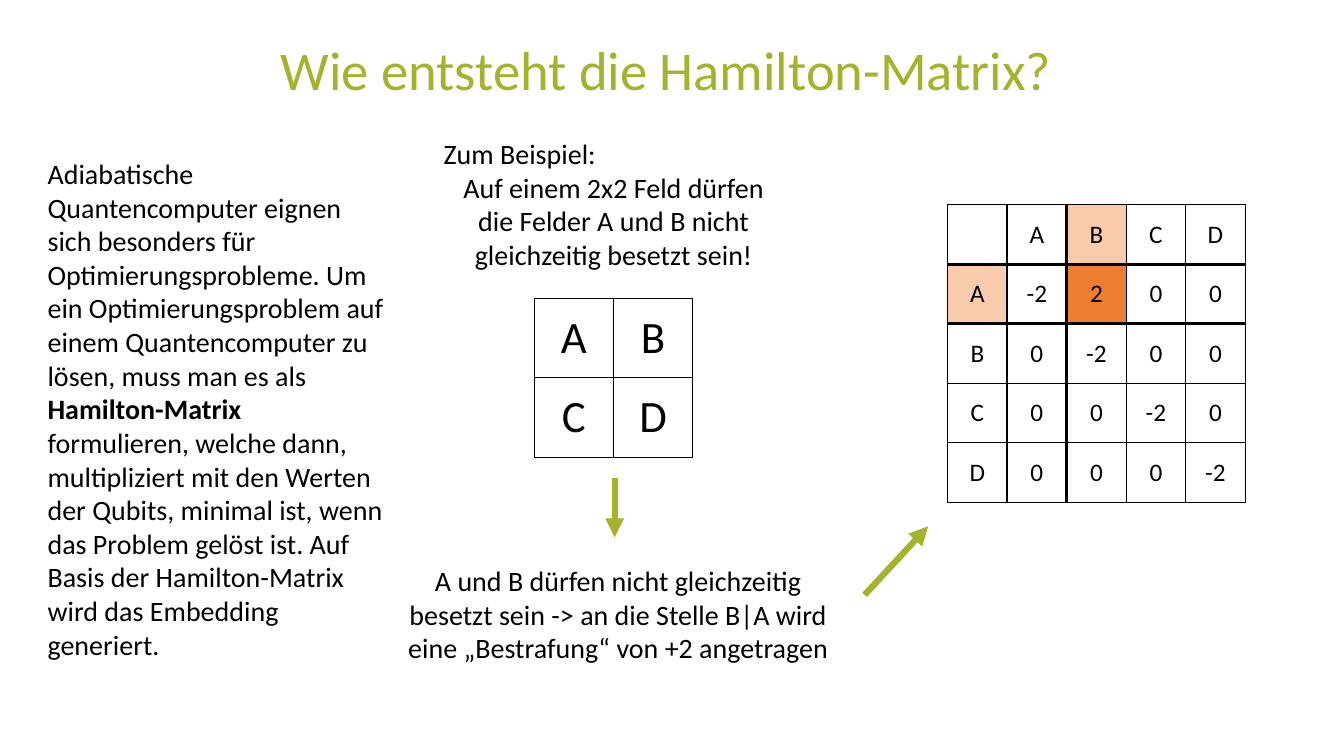
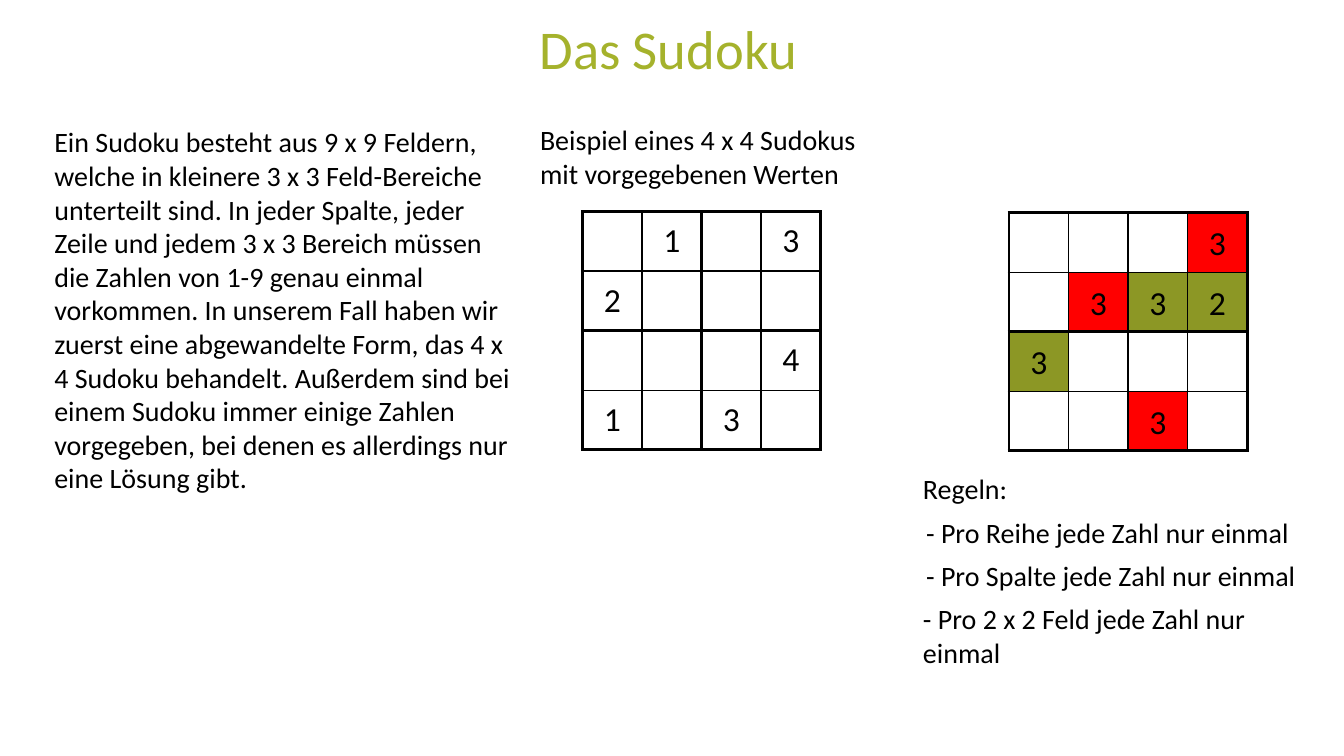
from lxml import etree
from pptx import Presentation
from pptx.dml.color import RGBColor
from pptx.enum.shapes import MSO_CONNECTOR, MSO_SHAPE
from pptx.enum.text import MSO_ANCHOR, MSO_AUTO_SIZE, PP_ALIGN
from pptx.oxml.ns import qn
from pptx.util import Cm, Pt

LEFT, CENTER = PP_ALIGN.LEFT, PP_ALIGN.CENTER
TOP, MIDDLE = MSO_ANCHOR.TOP, MSO_ANCHOR.MIDDLE
NO_FIT = MSO_AUTO_SIZE.NONE
STRAIGHT = MSO_CONNECTOR.STRAIGHT
RECTANGLE = MSO_SHAPE.RECTANGLE

COLORS = {
    "text": "000000",
    "accent": "A5B22C",
    "index": "F8CBAD",
    "penalty": "ED7D31",
    "conflict": "FF0000",
    "valid": "8C9725",
}
FRAME_FORMAT = {"word_wrap": True, "auto_size": NO_FIT, "vertical_anchor": TOP}
THIN, HEAVY = Pt(1), Pt(2.25)
TITLE_ONLY = 5


def write_text(paragraph, text, size, align=LEFT, color="text"):
    """Fill a paragraph; parts between double asterisks become bold."""
    paragraph.alignment = align
    for index, part in enumerate(text.split("**")):
        run = paragraph.add_run()
        run.text = part
        font_format = {"name": "Calibri", "size": Pt(size), "bold": index % 2 == 1}
        for attribute, value in font_format.items():
            setattr(run.font, attribute, value)
        run.font.color.rgb = RGBColor.from_string(COLORS[color])


def add_grid(slide, left, top, side, rows, size, heavy_edges=(), fills=None):
    """Add a table of square cells; heavy_edges counts grid lines from 0 both ways."""
    fills = fills or {}
    count = len(rows)
    extent = Cm(side * count)
    table = slide.shapes.add_table(count, count, Cm(left), Cm(top), extent, extent).table
    table.first_row = table.horz_banding = False
    for row, values in enumerate(rows):
        for column, value in enumerate(values):
            cell = table.cell(row, column)
            cell.vertical_anchor = MIDDLE
            if value:
                write_text(cell.text_frame.paragraphs[0], value, size, CENTER)
            properties = cell._tc.get_or_add_tcPr()
            edges = {"a:lnL": column, "a:lnR": column + 1, "a:lnT": row, "a:lnB": row + 1}
            for tag, edge in edges.items():
                width = HEAVY if edge in heavy_edges else THIN
                border = etree.SubElement(properties, qn(tag), w=str(width))
                fill = etree.SubElement(border, qn("a:solidFill"))
                etree.SubElement(fill, qn("a:srgbClr"), val=COLORS["text"])
            if (row, column) in fills:
                cell.fill.solid()
                cell.fill.fore_color.rgb = RGBColor.from_string(COLORS[fills[row, column]])
            else:
                cell.fill.background()


prs = Presentation()
prs.slide_width, prs.slide_height = Cm(33.87), Cm(19.05)

# Slides with their titles
slides = []
for heading, left, top in [
    ("Wie entsteht die Hamilton-Matrix?", 1.13, 0.97),
    ("Das Sudoku", 1.18, 0.43),
]:
    slide = prs.slides.add_slide(prs.slide_layouts[TITLE_ONLY])
    title = slide.shapes.title
    title.left, title.top, title.width, title.height = Cm(left), Cm(top), Cm(31.32), Cm(1.96)
    for attribute, value in FRAME_FORMAT.items():
        setattr(title.text_frame, attribute, value)
    title_line = title.text_frame.paragraphs[0]
    title_line.line_spacing = 0.9
    write_text(title_line, heading, 39, CENTER, "accent")
    slides.append(slide)
hamilton, sudoku = slides

# Body text: slide, place, paragraphs
for slide, place, paragraphs in [
    (hamilton, (0.95, 3.82, 9.02, 13.08), [
        (LEFT, "Adiabatische Quantencomputer eignen sich besonders für "
               "Optimierungsprobleme. Um ein Optimierungsproblem auf einem "
               "Quantencomputer zu lösen, muss man es als **Hamilton-Matrix** "
               "formulieren, welche dann, multipliziert mit den Werten der Qubits, "
               "minimal ist, wenn das Problem gelöst ist. Auf Basis der "
               "Hamilton-Matrix wird das Embedding generiert."),
    ]),
    (hamilton, (10.93, 3.32, 9.07, 3.68), [
        (LEFT, "Zum Beispiel:"),
        (CENTER, "Auf einem 2x2 Feld dürfen die Felder A und B nicht "
                 "gleichzeitig besetzt sein!"),
    ]),
    (hamilton, (9.98, 14.08, 11.2, 2.82), [
        (CENTER, "A und B dürfen nicht gleichzeitig besetzt sein -> an die Stelle "
                 "B|A wird eine „Bestrafung“ von +2 angetragen"),
    ]),
    (sudoku, (1.12, 3.02, 12.24, 9.65), [
        (LEFT, "Ein Sudoku besteht aus 9 x 9 Feldern, welche in kleinere 3 x 3 "
               "Feld-Bereiche unterteilt sind. In jeder Spalte, jeder Zeile und jedem "
               "3 x 3 Bereich müssen die Zahlen von 1-9 genau einmal vorkommen. In "
               "unserem Fall haben wir zuerst eine abgewandelte Form, das 4 x 4 Sudoku "
               "behandelt. Außerdem sind bei einem Sudoku immer einige Zahlen "
               "vorgegeben, bei denen es allerdings nur eine Lösung gibt."),
    ]),
    (sudoku, (13.36, 2.97, 8.61, 1.96), [
        (LEFT, "Beispiel eines 4 x 4 Sudokus mit vorgegebenen Werten"),
    ]),
    (sudoku, (23.01, 11.76, 6.73, 1.11), [(LEFT, "Regeln:")]),
    (sudoku, (23.09, 12.86, 9.95, 1.11), [(LEFT, "- Pro Reihe jede Zahl nur einmal")]),
    (sudoku, (23.09, 13.94, 9.95, 1.11), [(LEFT, "- Pro Spalte jede Zahl nur einmal")]),
    (sudoku, (23.01, 15.04, 9.9, 1.96), [(LEFT, "- Pro 2 x 2 Feld jede Zahl nur einmal")]),
]:
    frame = slide.shapes.add_textbox(*map(Cm, place)).text_frame
    for attribute, value in FRAME_FORMAT.items():
        setattr(frame, attribute, value)
    for index, (align, text) in enumerate(paragraphs):
        paragraph = frame.add_paragraph() if index else frame.paragraphs[0]
        write_text(paragraph, text, 20, align)

# Field, Hamilton matrix and the arrows leading from one to the other
add_grid(hamilton, 13.46, 7.52, 2, ["AB", "CD"], 32)

fields = "ABCD"
penalties = {("A", "B"): "2"}
matrix = [["", *fields]]
for field in fields:
    matrix.append([field] + [
        "-2" if field == other else penalties.get((field, other), "0") for other in fields
    ])
add_grid(hamilton, 23.88, 5.16, 1.5, matrix, 18, heavy_edges=(1, 2),
         fills={(0, 2): "index", (1, 0): "index", (1, 2): "penalty"})

for ends in [(15.49, 12.04, 15.49, 13.54), (21.79, 14.99, 23.39, 13.26)]:
    arrow = hamilton.shapes.add_connector(STRAIGHT, *map(Cm, ends))
    arrow.line.width = Pt(4.5)
    arrow.line.color.rgb = RGBColor.from_string(COLORS["accent"])
    etree.SubElement(arrow.line._get_or_add_ln(), qn("a:tailEnd"), type="triangle")
    etree.SubElement(arrow._element.spPr, qn("a:effectLst"))

# Sudoku with given values
side = 1.5
sudoku_edges = (0, 2, 4)
given = [
    ["", "1", "", "3"],
    ["2", "", "", ""],
    ["", "", "", "4"],
    ["1", "", "3", ""],
]
add_grid(sudoku, 14.68, 5.33, side, given, 24, sudoku_edges)

# Coloured entries that keep or break the rules, under an empty sudoku grid
check_left, check_top = 25.43, 5.36
for row, column, digit, verdict in [
    (0, 3, "3", "conflict"),
    (1, 1, "3", "conflict"),
    (1, 2, "3", "valid"),
    (1, 3, "2", "valid"),
    (2, 0, "3", "valid"),
    (3, 2, "3", "conflict"),
]:
    entry = sudoku.shapes.add_shape(
        RECTANGLE, Cm(check_left + column * side), Cm(check_top + row * side),
        Cm(side), Cm(side))
    entry.shadow.inherit = False
    entry.fill.solid()
    entry.fill.fore_color.rgb = RGBColor.from_string(COLORS[verdict])
    entry.line.fill.background()
    entry.text_frame.vertical_anchor = MIDDLE
    write_text(entry.text_frame.paragraphs[0], digit, 24, CENTER)
add_grid(sudoku, check_left, check_top, side, [[""] * 4] * 4, 24, sudoku_edges)

prs.save("out.pptx")
